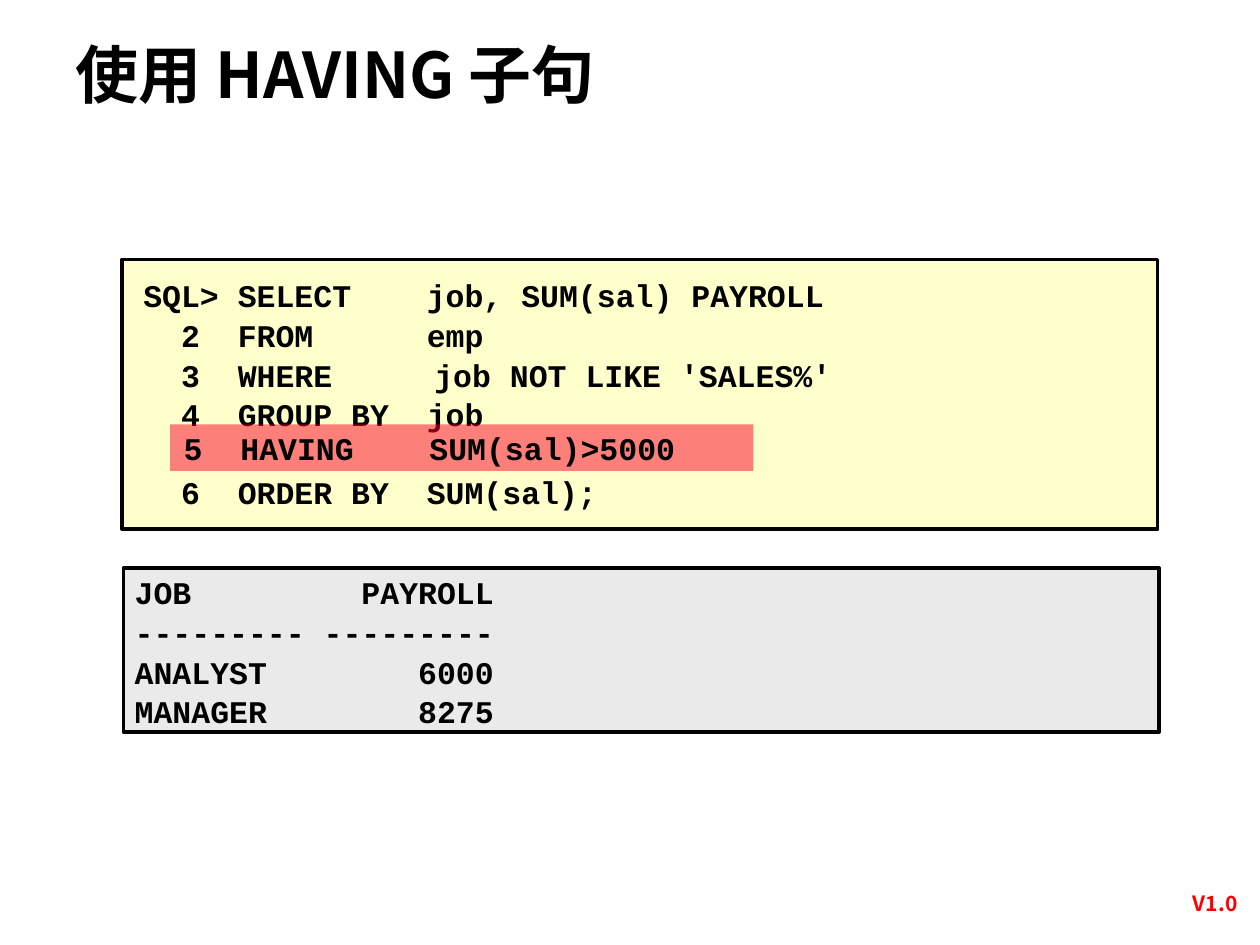
from collections import namedtuple
from dataclasses import dataclass
from lxml.etree import SubElement
from pptx import Presentation
from pptx.dml.color import RGBColor
from pptx.enum.shapes import MSO_SHAPE
from pptx.enum.text import MSO_ANCHOR, PP_ALIGN
from pptx.oxml.ns import qn
from pptx.util import Pt

Box = namedtuple("Box", "x y w h")


@dataclass(frozen=True)
class Theme:
    ink: str = "000000"
    red: str = "FF0000"
    mark: str = "FC0128"
    code: str = "FFFFCC"
    grid: str = "EAEAEA"
    sans: str = "Noto Sans CJK SC"
    mono: str = "Courier New"
    head: int = 36
    body: int = 18
    small: int = 12
    edge: int = 2
    lead: float = 1.05
    step: float = 10.8


look = Theme()


def add_rect(slide, box, fill, line=None, alpha=None):
    rect = slide.shapes.add_shape(MSO_SHAPE.RECTANGLE, *map(Pt, box))
    rect.shadow.inherit = False
    rect.fill.solid()
    rect.fill.fore_color.rgb = RGBColor.from_string(fill)
    if line:
        rect.line.color.rgb = RGBColor.from_string(line)
        rect.line.width = Pt(look.edge)
    else:
        rect.line.fill.background()
    if alpha:
        tint = rect._element.spPr.find(qn("a:solidFill"))[0]
        SubElement(tint, qn("a:alpha"), val=str(alpha * 1000))


def set_tabs(para, tabs):
    props = para._p.get_or_add_pPr()
    stops = SubElement(props, qn("a:tabLst"))
    for pos, side in tabs:
        SubElement(stops, qn("a:tab"), pos=str(int(Pt(pos))), algn=side)


def add_text(slide, box, lines, size, font, color=look.ink, pad=(7.2, 3.6),
             lead=1.0, align=PP_ALIGN.LEFT, anchor=MSO_ANCHOR.TOP):
    frame = slide.shapes.add_textbox(*map(Pt, box)).text_frame
    frame.word_wrap = True
    frame.vertical_anchor = anchor
    frame.margin_left = frame.margin_right = Pt(pad[0])
    frame.margin_top = frame.margin_bottom = Pt(pad[1])
    for i, (text, tabs, gap) in enumerate(lines):
        para = frame.add_paragraph() if i else frame.paragraphs[0]
        para.alignment = align
        para.line_spacing = lead
        para.space_before = Pt(gap)
        if tabs:
            set_tabs(para, tabs)
        run = para.add_run()
        run.text = text
        run.font.size = Pt(size)
        run.font.bold = True
        run.font.color.rgb = RGBColor.from_string(color)
        run.font.name = font
        props = run._r.get_or_add_rPr()
        SubElement(props, qn("a:ea"), typeface=font)


def cols(*marks):
    return [(n * look.step, side) for n, side in marks]


def add_title(slide, box):
    add_text(slide, box, [("使用 HAVING 子句", None, 0)],
             look.head, look.sans, lead=0.9)


def add_tag(slide, box):
    add_text(slide, box, [("V1.0", None, 0)], look.small, look.sans,
             look.red, (0, 0), align=PP_ALIGN.CENTER)


def add_query(slide, box):
    add_rect(slide, box, look.code, look.ink)
    first = cols((5, "l"), (15, "l"))
    rest = cols((2, "l"), (5, "l"), (15, "l"))
    shift = cols((2, "l"), (5, "l"), (15.4, "l"))
    lines = [
        ("SQL> SELECT\tjob, SUM(sal) PAYROLL", first, 0),
        ("\t2\tFROM\temp", rest, 0),
        ("\t3\tWHERE\tjob NOT LIKE 'SALES%'", shift, 0),
        ("\t4\tGROUP BY\tjob", rest, 0),
        ("\t6\tORDER BY\tSUM(sal);", rest, 21.5),
    ]
    add_text(slide, Box(box.x + 5, box.y + 28, 576, 95.8), lines, look.body,
             look.mono, lead=look.lead, anchor=MSO_ANCHOR.MIDDLE)
    add_rect(slide, Box(box.x + 27.4, box.y + 94.3, 333.4, 26.6),
             look.mark, alpha=50)
    add_text(slide, Box(box.x + 28.1, box.y + 92.5, 295.2, 50.4),
             [("5\tHAVING\tSUM(sal)>5000", cols((3, "l"), (13, "l")), 0)],
             look.body, look.mono, lead=look.lead)


def add_result(slide, box):
    add_rect(slide, box, look.grid, look.ink)
    rows = [("JOB", "PAYROLL"), ("ANALYST", "6000"), ("MANAGER", "8275")]
    lines = [("\t".join(row), cols((19, "r")), 0) for row in rows]
    lines.insert(1, (" ".join(["-" * 9] * 2), None, 0))
    add_text(slide, Box(box.x - 0.7, box.y - 0.7, 576, 95.8), lines,
             look.body, look.mono, lead=look.lead, anchor=MSO_ANCHOR.MIDDLE)


deck = Presentation()
deck.slide_width, deck.slide_height = Pt(720), Pt(540)
page = deck.slides.add_slide(deck.slide_layouts[6])
add_tag(page, Box(666, 509, 56.9, 21.6))
add_title(page, Box(36, 21.6, 573.8, 55.4))
add_query(page, Box(69.8, 148.3, 591.8, 154.1))
add_result(page, Box(70.6, 324.7, 591.8, 93.6))
deck.save("out.pptx")
